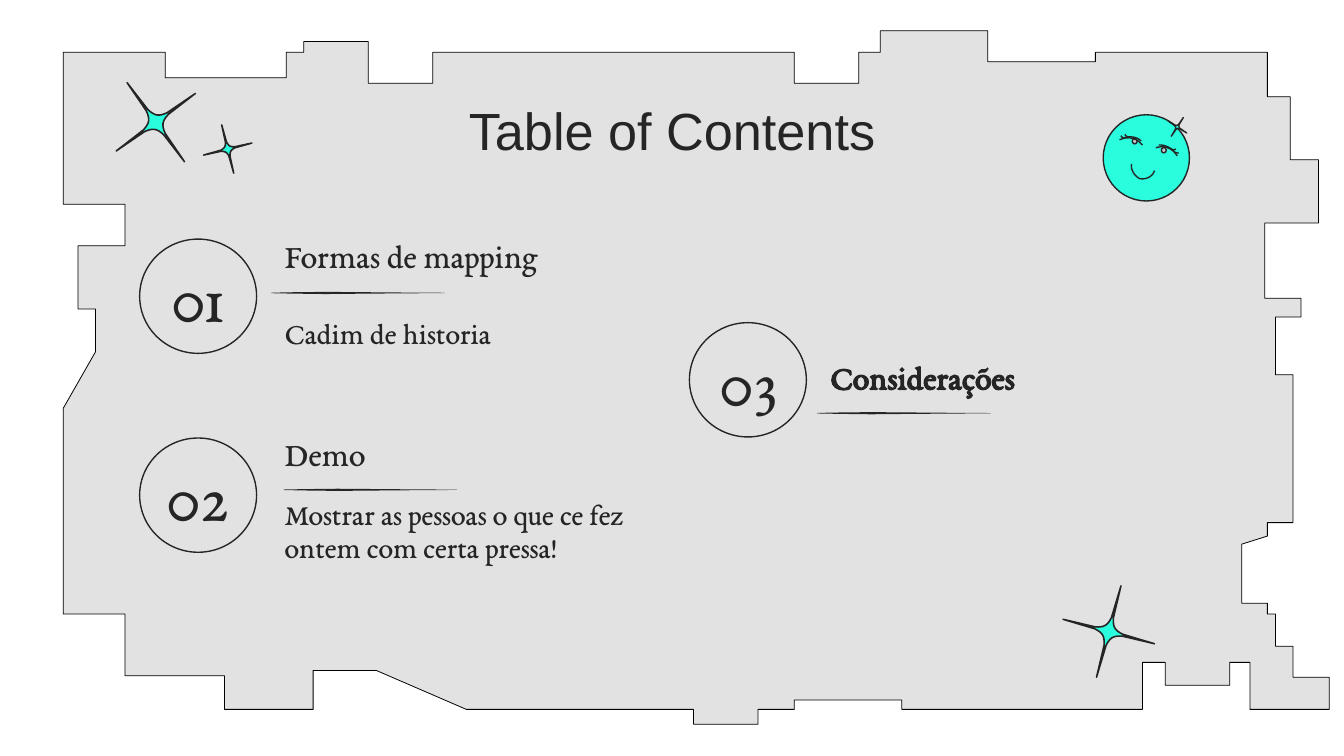
import math

from lxml import etree
from pptx import Presentation
from pptx import util as u
from pptx.dml.color import RGBColor
from pptx.enum import shapes, text
from pptx.oxml.ns import qn

INK = RGBColor(0x25, 0x25, 0x25)
BLACK = RGBColor(0, 0, 0)
PAPER = RGBColor(0xE2, 0xE2, 0xE2)
AQUA = RGBColor(0x29, 0xFD, 0xDE)
PUPIL = RGBColor(0xCA, 0xC6, 0xCB)
SERIF = "EB Garamond"
GRID_CM = 0.0254

OUTLINE = [
    (655, 23), (655, 39), (639, 39), (639, 62), (591, 62), (591, 39),
    (322, 39), (322, 62), (274, 62), (274, 31), (226, 31), (226, 39),
    (213, 39), (213, 58), (123, 58), (123, 39), (47, 39), (47, 152),
    (93, 152), (93, 183), (58, 183), (58, 230), (71, 230), (71, 262),
    (47, 304), (47, 457), (93, 457), (93, 503), (167, 503), (167, 528),
    (233, 528), (233, 499), (280, 499), (347, 528), (516, 528), (516, 539),
    (564, 539), (564, 528), (591, 528), (591, 521), (671, 521), (671, 528),
    (850, 528), (850, 493), (867, 493), (867, 510), (915, 510), (915, 493),
    (930, 493), (930, 528), (989, 528), (989, 504), (962, 504), (962, 481),
    (949, 481), (949, 457), (943, 457), (943, 449), (924, 449), (924, 405),
    (943, 399), (943, 389), (962, 389), (962, 279), (949, 279), (949, 236),
    (968, 236), (968, 222), (941, 222), (941, 166), (981, 166), (981, 119),
    (960, 119), (960, 72), (943, 72), (943, 39), (815, 39), (815, 46),
    (735, 46), (735, 23),
]
TAPER = [(0, 0.2), (16, 0.5), (40, 0.8), (64, 0.6), (97, 0.3), (129, 0.1)]
STARS = [(116, 91, 36.4, 54), (169.5, 111, 18.5, 76), (825, 470, 35.2, 15)]
FACE_LINES = [
    [(859, 127), (858, 131), (853, 134), (848, 133),
     (844, 131), (841, 126), (842, 122)],
    [(850, 108), (850, 108), (844, 99), (833, 104)],
    [(849, 105), (849, 105), (846, 101), (838, 102),
     (837, 103), (835, 103), (834, 101)],
    [(837, 100), (837, 100), (838, 102), (840, 102)],
    [(860, 110), (860, 110), (870, 106), (876, 116)],
    [(862, 108), (862, 108), (867, 107), (873, 112),
     (873, 113), (875, 114), (877, 114)],
    [(875, 111), (875, 111), (873, 112), (871, 111)],
]


def paint(shape, fill, line, width):
    shape.shadow.inherit = False
    if fill is None:
        shape.fill.background()
    else:
        shape.fill.solid()
        shape.fill.fore_color.rgb = fill
    if line is None:
        shape.line.fill.background()
    else:
        shape.line.color.rgb = line
        shape.line.width = u.Pt(width)


def add_path(page, points, fill=None, line=INK, width=0.75, close=True):
    corners = [(u.Cm(x * GRID_CM), u.Cm(y * GRID_CM)) for x, y in points]
    builder = page.shapes.build_freeform(*corners[0], scale=1.0)
    builder.add_line_segments(corners[1:], close=close)
    shape = builder.convert_to_shape()
    paint(shape, fill, line, width)
    return shape


def add_ellipse(page, left, top, width, height, fill=None):
    shape = page.shapes.add_shape(
        shapes.MSO_SHAPE.OVAL, u.Cm(left), u.Cm(top), u.Cm(width), u.Cm(height))
    paint(shape, fill, INK, 0.75)


def bezier(points, steps=8):
    curve = [points[0]]
    for first in range(0, len(points) - 1, 3):
        controls = points[first:first + 4]
        for step in range(1, steps + 1):
            t = step / steps
            weights = [math.comb(3, k) * t ** k * (1 - t) ** (3 - k) for k in range(4)]
            curve.append(tuple(
                sum(w * c[axis] for w, c in zip(weights, controls)) for axis in (0, 1)))
    return curve


def add_star(page, x, y, radius, angle, width=0.86):
    def polar(share, degrees):
        turn = math.radians(degrees)
        return (x + share * radius * math.cos(turn), y + share * radius * math.sin(turn))

    points = []
    for arm in range(4):
        tip = angle + 90 * arm
        points.append(polar(1, tip))
        points += bezier([polar(0.3, tip + 4), polar(0.13, tip + 27),
                          polar(0.13, tip + 63), polar(0.3, tip + 86)])
    add_path(page, points, AQUA, INK, width)


def add_taper(page, left, middle):
    upper = [(left + x, middle - half) for x, half in TAPER]
    lower = [(left + x, middle + half) for x, half in reversed(TAPER)]
    add_path(page, upper + lower, INK, None)


def add_face(page):
    add_ellipse(page, 20.85, 2.17, 1.63, 1.63, AQUA)
    for left, top in ((21.4, 2.62), (21.95, 2.79)):
        add_ellipse(page, left, top, 0.09, 0.1, PUPIL)
    for points in FACE_LINES:
        add_path(page, bezier(points), close=False)
    add_star(page, 876, 94.5, 8.3, 33, 0.75)


def write(box, place, words, size, font=SERIF, center=False, bold=False, spacing=None):
    box.left, box.top, box.width, box.height = [u.Cm(value) for value in place]
    frame = box.text_frame
    frame.word_wrap = True
    frame.auto_size = text.MSO_AUTO_SIZE.NONE
    frame.vertical_anchor = text.MSO_ANCHOR.MIDDLE
    frame.margin_left = frame.margin_right = u.Cm(0.25)
    frame.margin_top = frame.margin_bottom = u.Cm(0.25)
    para = frame.paragraphs[0]
    properties = para._p.get_or_add_pPr()
    properties.set("marL", "0")
    properties.set("indent", "0")
    etree.SubElement(properties, qn("a:buNone"))
    para.alignment = text.PP_ALIGN.CENTER if center else text.PP_ALIGN.LEFT
    para.space_before = u.Pt(0)
    if spacing:
        para.line_spacing = spacing
    span = para.add_run()
    span.text = words
    span.font.name = font
    span.font.size = u.Pt(size)
    span.font.bold = bold
    span.font.color.rgb = INK


def add_box(page):
    return page.shapes.add_textbox(0, 0, 0, 0)


def add_badge(page, number, left, top):
    add_ellipse(page, left, top, 2.21, 2.16)
    write(add_box(page), (left - 0.07, top + 0.2, 2.34, 1.75), number, 36, center=True)


def main():
    deck = Presentation()
    deck.slide_width, deck.slide_height = u.Cm(25.4), u.Cm(14.29)
    page = deck.slides.add_slide(deck.slide_layouts[4])
    slots = {slot.placeholder_format.idx: slot for slot in page.placeholders}

    sheet = add_path(page, OUTLINE, PAPER, BLACK, 0.43)
    page.shapes._spTree.insert(2, sheet._element)
    write(slots[0], (1.98, 1.65, 21.44, 1.6), "Table of Contents", 28, "Arial", center=True)

    for number, left, top in (("01", 2.64, 4.52), ("02", 2.64, 8.28), ("03", 13.03, 6.1)):
        add_badge(page, number, left, top)

    headings = [
        (slots[1], 5.13, 4.22, "Formas de mapping", False),
        (slots[3], 5.13, 7.95, "Demo", False),
        (add_box(page), 15.44, 6.5, "Considerações", True),
    ]
    for box, left, top, words, bold in headings:
        write(box, (left, top, 6.81, 1.22), words, 18, bold=bold)

    details = [
        (slots[2], 5.66, "Cadim de historia"),
        (slots[4], 9.4, "Mostrar as pessoas o que ce fez ontem com certa pressa!"),
    ]
    for box, top, words in details:
        write(box, (5.13, top, 7.16, 1.32), words, 16, spacing=0.92)

    for left, middle in ((608, 307.5), (202, 218), (211, 364.5)):
        add_taper(page, left, middle)
    for star in STARS:
        add_star(page, *star)
    add_face(page)
    deck.save("out.pptx")


if __name__ == "__main__":
    main()
